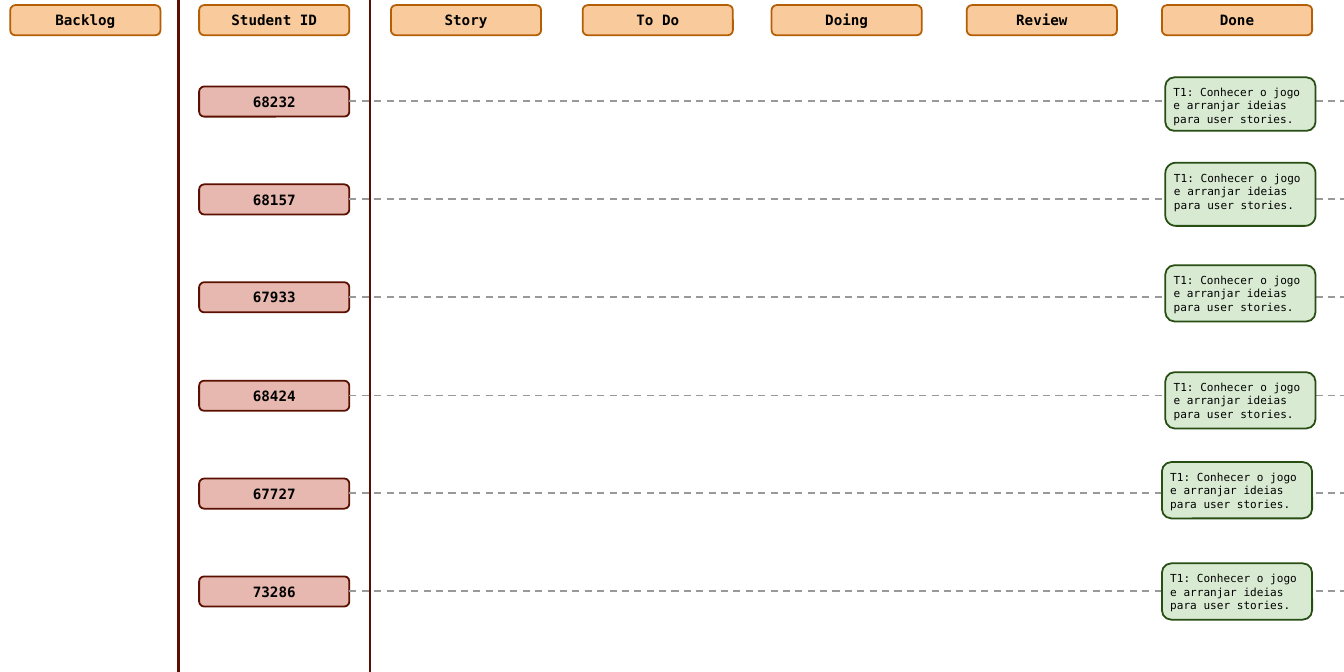
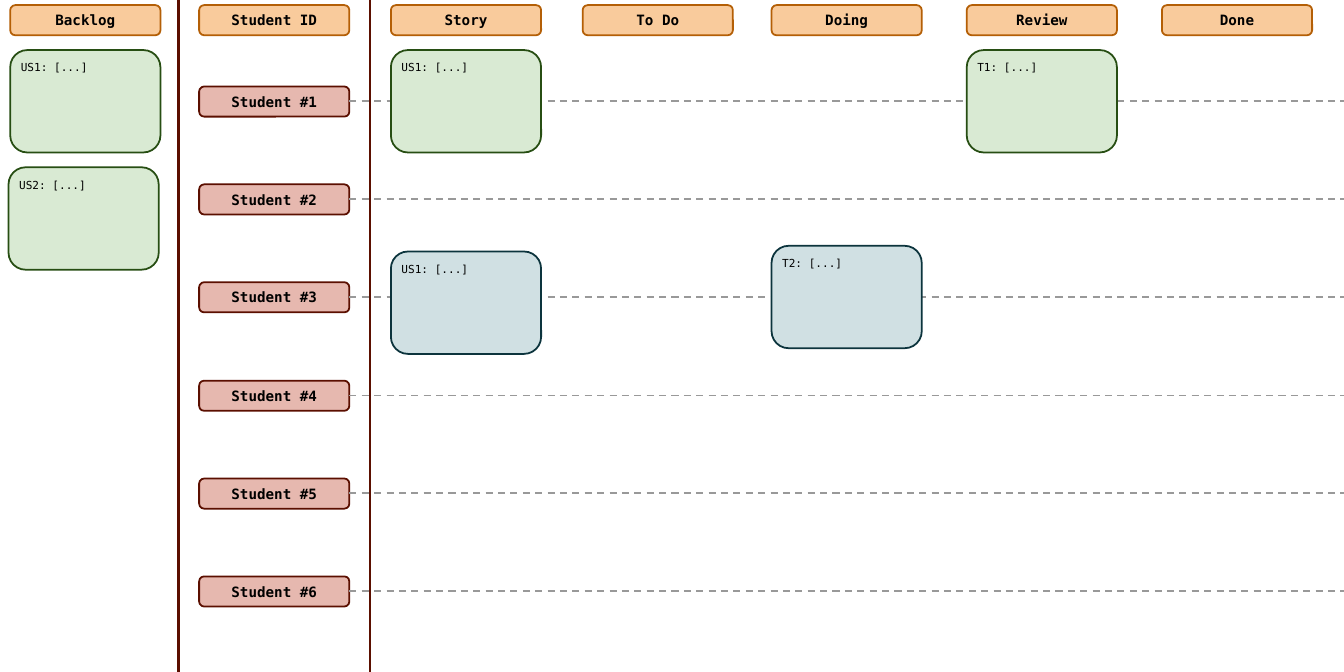
from lxml import etree
from pptx import Presentation
from pptx.dml.color import RGBColor
from pptx.enum.dml import MSO_LINE
from pptx.enum.shapes import MSO_CONNECTOR, MSO_SHAPE
from pptx.enum.text import MSO_ANCHOR, PP_ALIGN
from pptx.oxml.ns import qn
from pptx.util import Pt

ROUND, STRAIGHT = MSO_SHAPE.ROUNDED_RECTANGLE, MSO_CONNECTOR.STRAIGHT
DASH = MSO_LINE.DASH
LEFT, CENTER = PP_ALIGN.LEFT, PP_ALIGN.CENTER
TOP, MIDDLE = MSO_ANCHOR.TOP, MSO_ANCHOR.MIDDLE

# Layout, at 100 px to the inch
PX = 9144
WIDTH, HEIGHT = 2362, 1181
BOX_W, LABEL_H, CARD_H = 264, 53, 180
HEADER_Y, ROW_Y, ROW_STEP = 9, 152, 172.2
COLUMNS = {"Backlog": 18, "Student ID": 350, "Story": 687, "To Do": 1024,
           "Doing": 1356, "Review": 1699, "Done": 2042}
DIVIDERS = (314, 650)

# Fill and outline pairs
ORANGE = ("F9CB9C", "B45F06")
RED = ("E6B8AF", "5B0F00")
GREEN = ("D9EAD3", "274E13")
BLUE = ("D0E0E3", "0C343D")
GREY = "999999"


def rgb(value):
    return RGBColor.from_string(value)


def px(n):
    return round(n) * PX


class Board:
    """Kanban board style, drawn on the current slide."""
    FONT = {"name": "DejaVu Sans Mono"}
    LABEL = {"size": Pt(18), "bold": True}
    NOTE = {"size": Pt(14), "bold": False}

    def __init__(self):
        self.prs = Presentation()
        self.prs.slide_width, self.prs.slide_height = px(WIDTH), px(HEIGHT)

    def new_slide(self, students):
        self.s = self.prs.slides.add_slide(self.prs.slide_layouts[6])
        for x in DIVIDERS:
            self.line(x, 0, x, HEIGHT, RED[1], 3)
        for name, x in COLUMNS.items():
            self.label(x, HEADER_Y, name, ORANGE)
        for i, student in enumerate(students):
            x, y = COLUMNS["Student ID"], round(ROW_Y + i * ROW_STEP)
            self.label(x, y, student, RED)
            mid = y + LABEL_H // 2
            self.line(x + BOX_W, mid, WIDTH, mid, GREY, 2.25, DASH)

    def line(self, x1, y1, x2, y2, color, width, dash=None):
        c = self.s.shapes.add_connector(STRAIGHT, px(x1), px(y1), px(x2), px(y2))
        c.line.color.rgb, c.line.width = rgb(color), Pt(width)
        if dash:
            c.line.dash_style = dash
        etree.SubElement(c._element.spPr, qn("a:effectLst"))

    def box(self, x, y, h, text, colors, font, align, anchor):
        sp = self.s.shapes.add_shape(ROUND, px(x), px(y), px(BOX_W), px(h))
        sp.shadow.inherit = False
        sp.fill.solid()
        sp.fill.fore_color.rgb = rgb(colors[0])
        sp.line.color.rgb, sp.line.width = rgb(colors[1]), Pt(2.25)
        tf = sp.text_frame
        frame = {"word_wrap": True, "vertical_anchor": anchor}
        for side in ("left", "top", "right", "bottom"):
            frame["margin_" + side] = px(10)
        for key, value in frame.items():
            setattr(tf, key, value)
        p = tf.paragraphs[0]
        p.alignment = align
        r = p.add_run()
        r.text = text
        for key, value in (self.FONT | font).items():
            setattr(r.font, key, value)
        r.font.color.rgb = rgb("000000")

    def label(self, x, y, text, colors):
        self.box(x, y, LABEL_H, text, colors, self.LABEL, CENTER, MIDDLE)

    def card(self, x, y, text, colors=GREEN, h=CARD_H):
        self.box(x, y, h, text, colors, self.NOTE, LEFT, TOP)


def main():
    board = Board()

    # Slide 1: everyone's first task is done
    board.new_slide(["68232", "68157", "67933", "68424", "67727", "73286"])
    task = "T1: Conhecer o jogo e arranjar ideias para user stories."
    for x, y, h in ((2048, 136, 94), (2048, 286, 111), (2048, 466, 99),
                    (2048, 654, 99), (2042, 812, 99), (2042, 990, 99)):
        board.card(x, y, task, h=h)

    # Slide 2: template with sample cards
    board.new_slide([f"Student #{n}" for n in range(1, 7)])
    for column, text in (("Backlog", "US1: [...]"), ("Story", "US1: [...]"),
                         ("Review", "T1: [...]")):
        board.card(COLUMNS[column], 88, text)
    board.card(15, 294, "US2: [...]")
    board.card(COLUMNS["Story"], 442, "US1: [...]", BLUE)
    board.card(COLUMNS["Doing"], 432, "T2: [...]", BLUE)

    board.prs.save("out.pptx")


if __name__ == "__main__":
    main()
